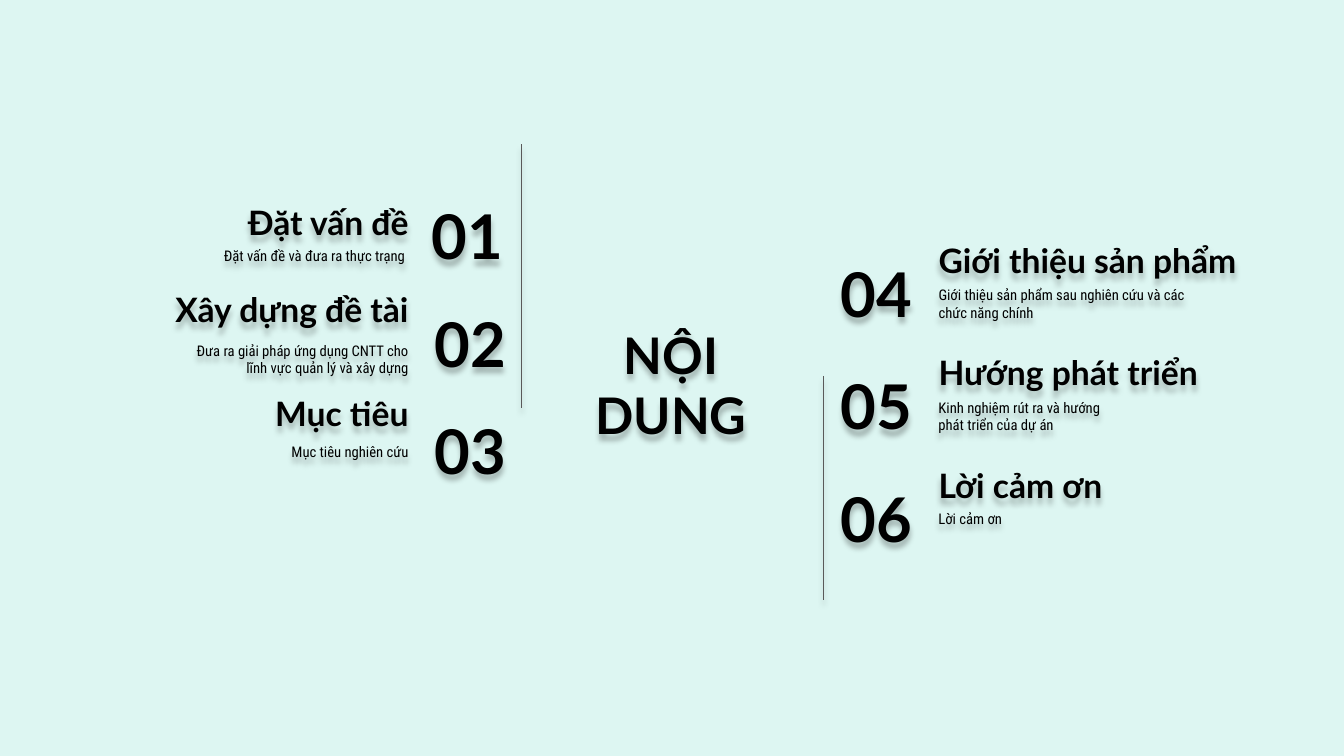
from lxml import etree
from pptx import Presentation
from pptx.dml.color import RGBColor
from pptx.enum.shapes import MSO_CONNECTOR
from pptx.enum.text import MSO_ANCHOR, PP_ALIGN
from pptx.oxml import parse_xml
from pptx.oxml.ns import nsdecls, qn
from pptx.util import Inches, Pt

# Content
HEADING = "NỘI DUNG"
# number, title, description, title top, description top, description width
LEFT_TOPICS = [
    ("01", "Đặt vấn đề", "Đặt vấn đề và đưa ra thực trạng ", 1.87, 2.36, 3.02),
    ("02", "Xây dựng đề tài", "Đưa ra giải pháp ứng dụng CNTT cho lĩnh vực quản lý và xây dựng",
     2.74, 3.29, 2.38),
    ("03", "Mục tiêu", "Mục tiêu nghiên cứu", 3.77, 4.31, 1.83),
]
# number, title, description, description width
RIGHT_TOPICS = [
    ("04", "Giới thiệu sản phẩm", "Giới thiệu sản phẩm sau nghiên cứu và các chức năng chính", 2.68),
    ("05", "Hướng phát triển", "Kinh nghiệm rút ra và hướng phát triển của dự án", 1.83),
    ("06", "Lời cảm ơn", "Lời cảm ơn", 1.83),
]
DIVIDERS = [(5.17, 1.43, 4.05), (8.17, 3.73, 5.95)]  # x, top, bottom

COLORS = {"background": "DDF6F2", "text": "000000", "line": "595959", "shadow": "000000"}
TITLE_FONT, BODY_FONT = "Lato", "Roboto Condensed"

# Layout in inches
ROW_HEIGHT = 0.63
LEFT_EDGE, RIGHT_EDGE = 4.15, 9.21
LEFT_TOP, LEFT_PITCH = 2.02, 1.065
RIGHT_TOP, RIGHT_PITCH = 2.59, 1.115
TITLE_WIDTH = {"left": 2.95, "right": 3.69}


def add_shadow(shape):
    properties = shape._element.spPr
    for old_effects in properties.findall(qn("a:effectLst")):
        properties.remove(old_effects)
    effects = parse_xml(f"<a:effectLst {nsdecls('a')}/>")
    shadow = etree.SubElement(effects, qn("a:outerShdw"), blurRad=str(Pt(4)), dist=str(Pt(4)),
                              dir="5400000", algn="t", rotWithShape="0")
    color = etree.SubElement(shadow, qn("a:srgbClr"), val=COLORS["shadow"])
    etree.SubElement(color, qn("a:alpha"), val="26000")
    properties.append(effects)


def add_text(slide, text, left, top, width, height=ROW_HEIGHT, size=10.5, font=TITLE_FONT,
             bold=True, align=PP_ALIGN.LEFT, anchor=MSO_ANCHOR.MIDDLE):
    box = slide.shapes.add_textbox(Inches(left), Inches(top), Inches(width), Inches(height))
    frame = box.text_frame
    frame.word_wrap = True
    frame.vertical_anchor = anchor
    frame.margin_left = frame.margin_right = Inches(0.1)
    frame.margin_top = frame.margin_bottom = Inches(0.1)
    paragraph = frame.paragraphs[0]
    paragraph.alignment = align
    run = paragraph.add_run()
    run.text = text
    run.font.name = font
    run.font.size = Pt(size)
    run.font.bold = bold
    run.font.color.rgb = RGBColor.from_string(COLORS["text"])
    add_shadow(box)


def add_topic(slide, side, number, title, description, number_box, title_top, text_top, text_width):
    on_left = side == "left"
    align = PP_ALIGN.RIGHT if on_left else PP_ALIGN.LEFT
    add_text(slide, number, *number_box, size=44, align=align)
    title_width = TITLE_WIDTH[side]
    title_left = LEFT_EDGE - title_width if on_left else RIGHT_EDGE
    text_left = LEFT_EDGE - text_width if on_left else RIGHT_EDGE
    add_text(slide, title, title_left, title_top, title_width, size=24, align=align,
             anchor=MSO_ANCHOR.BOTTOM)
    add_text(slide, description, text_left, text_top, text_width, font=BODY_FONT, bold=False,
             align=align, anchor=MSO_ANCHOR.TOP)


def main():
    presentation = Presentation()
    presentation.slide_width, presentation.slide_height = Inches(13.33), Inches(7.5)
    slide = presentation.slides.add_slide(presentation.slide_layouts[6])
    slide.background.fill.solid()
    slide.background.fill.fore_color.rgb = RGBColor.from_string(COLORS["background"])

    # Heading
    add_text(slide, HEADING, 5.36, 3.3, 2.59, 1.03, size=36, align=PP_ALIGN.CENTER)

    # Dividers
    for x, top, bottom in DIVIDERS:
        divider = slide.shapes.add_connector(MSO_CONNECTOR.STRAIGHT, Inches(x), Inches(top),
                                             Inches(x), Inches(bottom))
        divider.line.color.rgb = RGBColor.from_string(COLORS["line"])
        divider.line.width = Pt(0.75)
        add_shadow(divider)

    # Left topics
    for row, (number, title, description, title_top, text_top, width) in enumerate(LEFT_TOPICS):
        number_left = 3.88 if row == 0 else 3.91
        number_box = (number_left, LEFT_TOP + row * LEFT_PITCH, 1.21)
        add_topic(slide, "left", number, title, description, number_box, title_top, text_top, width)

    # Right topics
    for row, (number, title, description, width) in enumerate(RIGHT_TOPICS):
        top = RIGHT_TOP + row * RIGHT_PITCH
        add_topic(slide, "right", number, title, description, (8.24, top, 1.17),
                  top - 0.34, top + 0.15, width)

    presentation.save("out.pptx")


if __name__ == "__main__":
    main()
